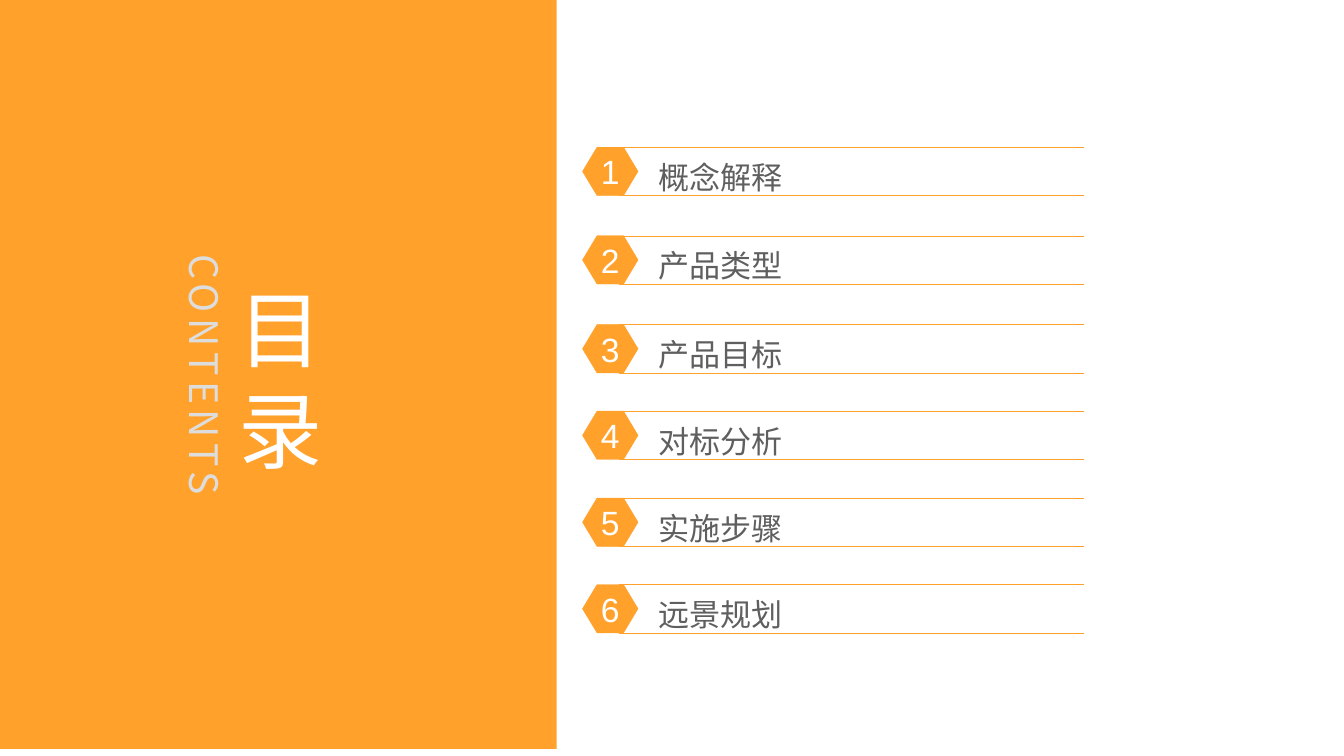
import pptx
import pptx.dml.color
import pptx.enum.shapes
import pptx.enum.text
import pptx.oxml.ns
import pptx.util
from lxml import etree

Cm = pptx.util.Cm
Pt = pptx.util.Pt
RGBColor = pptx.dml.color.RGBColor
MSO_SHAPE = pptx.enum.shapes.MSO_SHAPE
MSO_ANCHOR = pptx.enum.text.MSO_ANCHOR
MSO_AUTO_SIZE = pptx.enum.text.MSO_AUTO_SIZE
PP_ALIGN = pptx.enum.text.PP_ALIGN

ORANGE = RGBColor(0xFF, 0xA1, 0x2B)
WHITE = RGBColor(0xFF, 0xFF, 0xFF)
LIGHT_GREY = RGBColor(0xDD, 0xDD, 0xDD)
DARK_GREY = RGBColor(0x5F, 0x5F, 0x5F)
HAN_FONT = "Noto Sans CJK SC"
NUMBER_FONT = "Arial"

ROW_HEIGHT = 1.22
CHAPTERS = [
    (3.71, "概念解释"),
    (5.94, "产品类型"),
    (8.18, "产品目标"),
    (10.36, "对标分析"),
    (12.55, "实施步骤"),
    (14.73, "远景规划"),
]


class ContentsSlide:
    def __init__(self, slide):
        self.shapes = slide.shapes

    def set_text(self, shape, lines, size, color, font=HAN_FONT, align=PP_ALIGN.CENTER,
                 left_inset=0, line_spacing=None, tracking=None):
        frame = shape.text_frame
        frame.word_wrap = True
        frame.vertical_anchor = MSO_ANCHOR.MIDDLE
        frame.margin_left = Cm(left_inset)
        frame.margin_top = frame.margin_right = frame.margin_bottom = 0
        frame.text = "\n".join(lines)
        for paragraph in frame.paragraphs:
            paragraph.alignment = align
            paragraph.line_spacing = line_spacing
            paragraph.font.size = Pt(size)
            paragraph.font.name = font
            paragraph.font.color.rgb = color
            properties = paragraph._p.pPr.find(pptx.oxml.ns.qn("a:defRPr"))
            etree.SubElement(properties, pptx.oxml.ns.qn("a:ea"), typeface=font)
            if tracking:
                properties.set("spc", str(tracking * 100))

    def outline(self, shape):
        shape.line.color.rgb = ORANGE
        shape.line.width = Pt(0.25)

    def panel(self, left, top, width, height):
        panel = self.shapes.add_shape(
            MSO_SHAPE.RECTANGLE, Cm(left), Cm(top), Cm(width), Cm(height))
        panel.shadow.inherit = False
        panel.fill.solid()
        panel.fill.fore_color.rgb = ORANGE
        panel.line.fill.background()

    def label(self, left, top, width, height, lines, size, color, tracking=None):
        label = self.shapes.add_textbox(Cm(left), Cm(top), Cm(width), Cm(height))
        self.set_text(label, lines, size, color, tracking=tracking)
        return label

    def chapter_bar(self, left, top, width, title):
        right, bottom = Cm(left + width), Cm(top + ROW_HEIGHT)
        builder = self.shapes.build_freeform(right, bottom)
        builder.add_line_segments(
            [(Cm(left), bottom), (Cm(left), Cm(top)), (right, Cm(top))], close=False)
        bar = builder.convert_to_shape()
        bar.shadow.inherit = False
        bar.fill.background()
        self.outline(bar)
        self.set_text(bar, [title], 22.2, DARK_GREY, align=PP_ALIGN.LEFT,
                      left_inset=1, line_spacing=1.3)

    def number_badge(self, left, top, width, number):
        badge = self.shapes.add_shape(
            MSO_SHAPE.HEXAGON, Cm(left), Cm(top), Cm(width), Cm(ROW_HEIGHT))
        badge.adjustments[0] = 0.3
        badge.shadow.inherit = False
        badge.fill.solid()
        badge.fill.fore_color.rgb = ORANGE
        self.outline(badge)
        self.set_text(badge, [str(number)], 24, WHITE, font=NUMBER_FONT)


def main():
    presentation = pptx.Presentation()
    presentation.slide_width = Cm(33.87)
    presentation.slide_height = Cm(19.05)
    contents = ContentsSlide(presentation.slides.add_slide(presentation.slide_layouts[6]))

    contents.panel(0, 0, 14.03, 18.87)
    contents.label(5.08, 5.72, 3.99, 7.65, ["目", "录"], 60, WHITE)
    subtitle = contents.label(0.03, 8.71, 10.26, 1.45, ["CONTENTS"], 28, LIGHT_GREY, tracking=4)
    subtitle.rotation = 90
    subtitle.text_frame.auto_size = MSO_AUTO_SIZE.SHAPE_TO_FIT_TEXT

    for number, (top, title) in enumerate(CHAPTERS, start=1):
        contents.chapter_bar(15.6, top, 11.73, title)
        contents.number_badge(14.68, top, 1.4, number)

    presentation.save("out.pptx")


if __name__ == "__main__":
    main()
